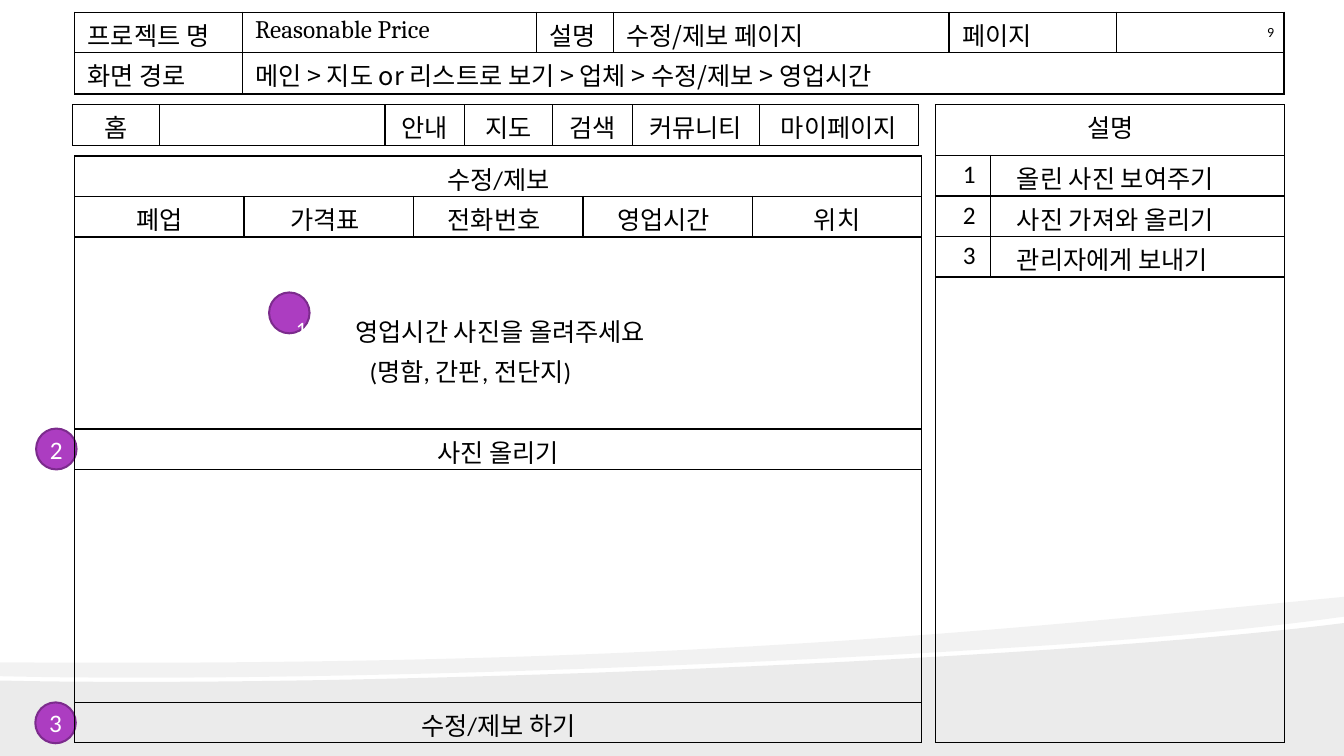
from lxml import etree
from pptx import Presentation
from pptx.dml.color import RGBColor
from pptx.enum.shapes import MSO_SHAPE
from pptx.enum.text import MSO_ANCHOR, PP_ALIGN
from pptx.oxml.ns import qn
from pptx.util import Cm, Pt

LEFT, CENTER, RIGHT = PP_ALIGN.LEFT, PP_ALIGN.CENTER, PP_ALIGN.RIGHT
OVAL = MSO_SHAPE.OVAL
MIDDLE = MSO_ANCHOR.MIDDLE
KOREAN, CALIBRI, CAMBRIA, ARIAL = "Noto Sans CJK KR", "Calibri", "Cambria", "Arial"
COLORS = {"ink": "000000", "badge": "AC3DC1", "badge_edge": "7C2B8D", "badge_text": "FFFFFF"}


def style_run(run, latin, size=18, color="ink"):
    run.font.name = latin
    run.font.size = Pt(size)
    run.font.color.rgb = RGBColor.from_string(COLORS[color])
    etree.SubElement(run._r.get_or_add_rPr(), qn("a:ea")).set("typeface", KOREAN)


def build_table(left, top, widths, heights, entries):
    table = slide.shapes.add_table(len(heights), len(widths), Cm(left), Cm(top),
                                   Cm(sum(widths)), Cm(sum(heights))).table
    table.first_row = False
    table.horz_banding = False
    for column, width in zip(table.columns, widths):
        column.width = Cm(width)
    for row, height in zip(table.rows, heights):
        row.height = Cm(height)
    for cell in table.iter_cells():
        cell.margin_left = cell.margin_right = cell.margin_bottom = 0
        cell.margin_top = Cm(0.1)
        borders = cell._tc.get_or_add_tcPr()
        for side in ("a:lnL", "a:lnR", "a:lnT", "a:lnB"):
            line = etree.SubElement(borders, qn(side), w=str(Pt(1)))
            fill = etree.SubElement(line, qn("a:solidFill"))
            etree.SubElement(fill, qn("a:srgbClr"), val=COLORS["ink"])
        cell.fill.background()
    for row, col, span, text, latin, align, indent in entries:
        cell = table.cell(row, col)
        if span > 1:
            cell.merge(table.cell(row, col + span - 1))
        cell.text_frame.text = text
        paragraph = cell.text_frame.paragraphs[0]
        paragraph.alignment = align
        if align == RIGHT:
            cell.margin_right = Cm(indent)
        else:
            cell.margin_left = Cm(indent)
        for run in paragraph.runs:
            style_run(run, latin)
    return table


prs = Presentation()
prs.slide_width, prs.slide_height = Cm(33.86), Cm(19.05)
slide = prs.slides.add_slide(prs.slide_layouts[6])

lower_wave = [
    [(33.86, 15.7), (33.86, 19.05), (0, 19.05), (0, 17.15)],
    [(0, 17.15), (8.94, 17.35), (26.47, 16.64), (33.86, 15.7)],
]
upper_wave = [
    [(33.86, 15.04), (33.86, 15.54)],
    [(33.86, 15.54), (31.88, 15.82), (29.18, 16.08), (26.14, 16.28)],
    [(26.14, 16.28), (17.73, 16.84), (6.55, 17.2), (0, 17.04)],
    [(0, 17.04), (0, 16.69)],
    [(0, 16.69), (16.56, 16.81), (24.66, 15.93), (33.86, 15.04)],
]
for wave, opacity in ((lower_wave, 8), (upper_wave, 5)):
    outline = []
    for index, points in enumerate(wave):
        if len(points) == 4 and (wave is upper_wave or index == 1):
            for step in range(41):
                t = step / 40
                weights = ((1 - t) ** 3, 3 * t * (1 - t) ** 2, 3 * t * t * (1 - t), t ** 3)
                outline.append(tuple(sum(w * p[axis] for w, p in zip(weights, points))
                                     for axis in (0, 1)))
        else:
            outline += points
    outline = [(Cm(x), Cm(y)) for x, y in outline]
    builder = slide.shapes.build_freeform(*outline[0])
    builder.add_line_segments(outline[1:])
    band = builder.convert_to_shape()
    band.shadow.inherit = False
    band.line.fill.background()
    band.fill.solid()
    band.fill.fore_color.rgb = RGBColor.from_string(COLORS["ink"])
    tint = band._element.spPr.find(qn("a:solidFill"))[0]
    etree.SubElement(tint, qn("a:alpha"), val=str(opacity * 1000))

project = build_table(1.88, 0.31, [4.22, 7.42, 1.93, 8.46, 4.22, 4.22], [1.02, 1.04], [
    (0, 0, 1, "프로젝트 명", KOREAN, LEFT, 0.33),
    (0, 1, 1, "Reasonable Price", CAMBRIA, LEFT, 0.33),
    (0, 2, 1, "설명", KOREAN, LEFT, 0.33),
    (0, 3, 1, "수정/제보 페이지", KOREAN, LEFT, 0.33),
    (0, 4, 1, "페이지", KOREAN, LEFT, 0.33),
    (0, 5, 1, "9", CALIBRI, RIGHT, 0.25),
    (1, 0, 1, "화면 경로", KOREAN, LEFT, 0.33),
    (1, 1, 5, "메인 > 지도 or 리스트로 보기 > 업체 > 수정/제보 > 영업시간", KOREAN, LEFT, 0.33),
])
page_number = project.cell(0, 5)
page_number.margin_top = Cm(0.3)
page_number.text_frame.paragraphs[0].runs[0].font.size = Pt(10)

notes = [(0, 0, 2, "설명", KOREAN, CENTER, 0), (4, 0, 2, "", KOREAN, LEFT, 0)]
for number, note in enumerate(["올린 사진 보여주기", "사진 가져와 올리기", "관리자에게 보내기"], 1):
    notes.append((number, 0, 1, str(number), CALIBRI, RIGHT, 0.38))
    notes.append((number, 1, 1, note, KOREAN, LEFT, 0.66))
build_table(23.57, 2.64, [1.39, 7.41], [1.28, 1.02, 1.02, 1.02, 11.73], notes)

for left, top, number in ((0.91, 10.8, "2"), (0.89, 17.7, "3"), (6.78, 7.37, "")):
    badge = slide.shapes.add_shape(OVAL, Cm(left), Cm(top), Cm(1.02), Cm(1.03))
    badge.shadow.inherit = False
    badge.fill.solid()
    badge.fill.fore_color.rgb = RGBColor.from_string(COLORS["badge"])
    badge.line.color.rgb = RGBColor.from_string(COLORS["badge_edge"])
    badge.line.width = Pt(1.44)
    if number:
        frame = badge.text_frame
        frame.margin_left = frame.margin_right = frame.margin_top = frame.margin_bottom = 0
        frame.vertical_anchor = MIDDLE
        frame.text = number
        frame.paragraphs[0].alignment = CENTER
        style_run(frame.paragraphs[0].runs[0], CALIBRI, color="badge_text")

report = build_table(1.88, 3.93, [4.27] * 5, [1.02, 1.02, 4.84, 1.02, 5.87, 1.02], [
    (0, 0, 5, "수정/제보", CALIBRI, CENTER, 0),
    (1, 0, 1, "폐업", KOREAN, CENTER, 0),
    (1, 1, 1, "가격표", KOREAN, LEFT, 1.17),
    (1, 2, 1, "전화번호", KOREAN, LEFT, 0.86),
    (1, 3, 1, "영업시간", KOREAN, LEFT, 0.86),
    (1, 4, 1, "위치", KOREAN, CENTER, 0),
    (2, 0, 5, "", KOREAN, CENTER, 0),
    (3, 0, 5, "사진 올리기", KOREAN, CENTER, 0),
    (4, 0, 5, "", KOREAN, LEFT, 0),
    (5, 0, 5, "수정/제보 하기", CALIBRI, CENTER, 0),
])
upload = report.cell(2, 0)
upload.margin_top = Cm(1.74)
upload.margin_right = Cm(1.4)
request = upload.text_frame.paragraphs[0]
marker = request.add_run()
marker.text = "1\t"
style_run(marker, CALIBRI, 27, "badge_text")
marker._r.get_or_add_rPr().set("baseline", "12000")
prompt = request.add_run()
prompt.text = "영업시간 사진을 올려주세요"
style_run(prompt, KOREAN)
tabs = etree.SubElement(request._p.get_or_add_pPr(), qn("a:tabLst"))
etree.SubElement(tabs, qn("a:tab"), pos=str(Cm(1.5)), algn="l")
examples = upload.text_frame.add_paragraph()
examples.text = "(명함, 간판, 전단지)"
examples.alignment = CENTER
style_run(examples.runs[0], CALIBRI)

menu = ["홈", "", "안내", "지도", "검색", "커뮤니티", "마이페이지"]
build_table(1.83, 2.64, [2.18, 5.69, 2.01, 2.21, 2.01, 3.2, 4.01], [1.02],
            [(0, col, 1, item, CAMBRIA if col > 2 else ARIAL, CENTER, 0)
             for col, item in enumerate(menu)])

prs.save("out.pptx")
